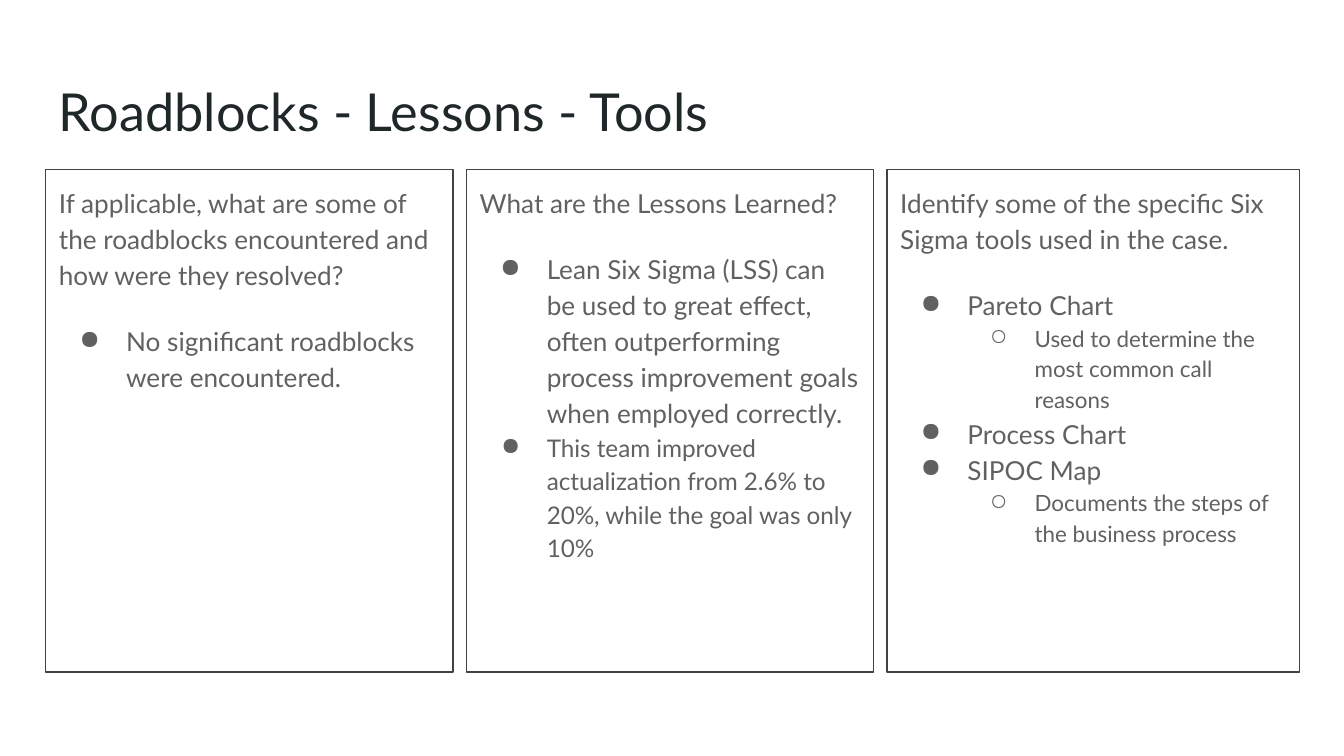
import dataclasses

import pptx
import pptx.dml.color
import pptx.enum.shapes
import pptx.enum.text
import pptx.oxml.ns
import pptx.util
from lxml import etree
from pptx.util import Inches

FONT = "Lato"
INK, GREY, EDGE = "202729", "616161", "424242"
LEFT, TOP, HIGH = 0.34, 1.26, 3.74
STEP = 3.13


@dataclasses.dataclass
class Item:
    text: str
    size: float = 14
    level: int = 0


@dataclasses.dataclass
class Panel:
    width: float
    lead: str
    items: list[Item]


PANELS = [
    Panel(3.03, "If applicable, what are some of the roadblocks encountered and how were they resolved?", [
        Item("No significant roadblocks were encountered."),
    ]),
    Panel(3.03, "What are the Lessons Learned?", [
        Item("Lean Six Sigma (LSS) can be used to great effect, often outperforming "
             "process improvement goals when employed correctly."),
        Item("This team improved actualization from 2.6% to 20%, while the goal was only 10%", 13),
    ]),
    Panel(3.07, "Identify some of the specific Six Sigma tools used in the case.", [
        Item("Pareto Chart"),
        Item("Used to determine the most common call reasons", 12, 1),
        Item("Process Chart"),
        Item("SIPOC Map"),
        Item("Documents the steps of the business process", 12, 1),
    ]),
]


def color(code: str) -> pptx.dml.color.RGBColor:
    return pptx.dml.color.RGBColor.from_string(code)


def setup(frame) -> None:
    """Wrap the text from the top with equal insets."""
    frame.word_wrap = True
    frame.vertical_anchor = pptx.enum.text.MSO_ANCHOR.TOP
    for side in ("left", "top", "right", "bottom"):
        setattr(frame, f"margin_{side}", Inches(0.1))


def write(para, text: str, *, size: float = 14, ink: str = GREY,
          line: float = 1.15, before: float = 0) -> None:
    para.alignment = pptx.enum.text.PP_ALIGN.LEFT
    para.line_spacing = line
    para.space_before = pptx.util.Pt(before)
    run = para.add_run()
    run.text = text
    run.font.name = FONT
    run.font.size = pptx.util.Pt(size)
    run.font.color.rgb = color(ink)


def bullet(para, item: Item) -> None:
    """Add a hanging bullet that suits the item's level and size."""
    para.level = item.level
    hang = 0.25 + item.size / 144
    props = para._p.get_or_add_pPr()
    props.set("marL", str(Inches(0.5 * (item.level + 1))))
    props.set("indent", str(-Inches(hang)))
    qn = pptx.oxml.ns.qn
    tint = etree.SubElement(props, qn("a:buClr"))
    etree.SubElement(tint, qn("a:srgbClr"), val=GREY)
    etree.SubElement(props, qn("a:buChar"), char="●○"[item.level])


def draw(slide, panel: Panel, left: float) -> None:
    box = slide.shapes.add_shape(
        pptx.enum.shapes.MSO_SHAPE.RECTANGLE,
        Inches(left), Inches(TOP), Inches(panel.width), Inches(HIGH))
    box.shadow.inherit = False
    box.fill.background()
    box.line.color.rgb = color(EDGE)
    box.line.width = pptx.util.Pt(0.75)
    frame = box.text_frame
    setup(frame)
    write(frame.paragraphs[0], panel.lead)
    for rank, item in enumerate(panel.items):
        para = frame.add_paragraph()
        write(para, item.text, size=item.size, before=0 if rank else 16)
        bullet(para, item)


def main() -> None:
    deck = pptx.Presentation()
    deck.slide_width = Inches(10)
    deck.slide_height = Inches(10 * 9 / 16)
    slide = deck.slides.add_slide(deck.slide_layouts[6])
    title = slide.shapes.add_textbox(Inches(LEFT), Inches(0.49), Inches(9.32), Inches(0.63))
    setup(title.text_frame)
    write(title.text_frame.paragraphs[0], "Roadblocks - Lessons - Tools", size=28, ink=INK, line=1.0)
    for col, panel in enumerate(PANELS):
        draw(slide, panel, LEFT + col * STEP)
    deck.save("out.pptx")


if __name__ == "__main__":
    main()
